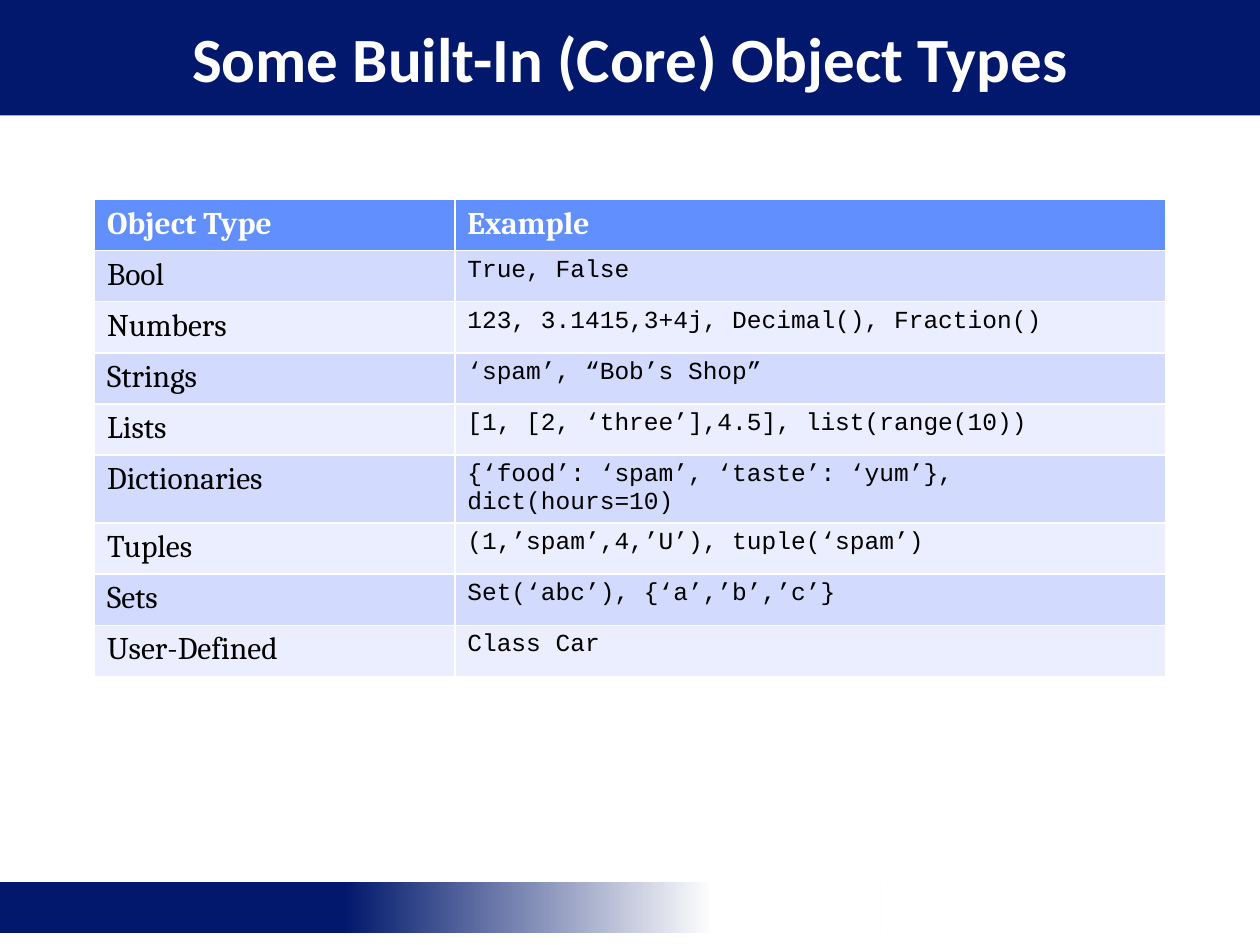
from pptx import Presentation
from pptx.dml.color import RGBColor
from pptx.enum.shapes import MSO_SHAPE
from pptx.enum.text import MSO_ANCHOR, MSO_AUTO_SIZE, PP_ALIGN
from pptx.util import Pt

NAVY = RGBColor(0x01, 0x18, 0x6C)
BLUE = RGBColor(0x61, 0x8F, 0xFD)
MID = RGBColor(0xD2, 0xDB, 0xFE)
PALE = RGBColor(0xEA, 0xEE, 0xFF)
WHITE = RGBColor(0xFF, 0xFF, 0xFF)
BLACK = RGBColor(0x00, 0x00, 0x00)

ROWS = [
    ("Object Type", "Example"),
    ("Bool", "True, False"),
    ("Numbers", "123, 3.1415,3+4j, Decimal(), Fraction()"),
    ("Strings", "‘spam’, “Bob’s Shop”"),
    ("Lists", "[1, [2, ‘three’],4.5], list(range(10))"),
    ("Dictionaries", "{‘food’: ‘spam’, ‘taste’: ‘yum’}, dict(hours=10)"),
    ("Tuples", "(1,’spam’,4,’U’), tuple(‘spam’)"),
    ("Sets", "Set(‘abc’), {‘a’,’b’,’c’}"),
    ("User-Defined", "Class Car"),
]
WIDTHS = [Pt(205.9), Pt(406.1)]
HEIGHT = Pt(29.2)


def style(frame, font, size, color, bold):
    """Format every run of a text frame."""
    for para in frame.paragraphs:
        for run in para.runs:
            run.font.name = font
            run.font.size = Pt(size)
            run.font.color.rgb = color
            run.font.bold = bold


deck = Presentation()
deck.slide_width, deck.slide_height = Pt(720), Pt(540)
slide = deck.slides.add_slide(deck.slide_layouts[5])

# Footer band, fading to white
band = slide.shapes.add_shape(MSO_SHAPE.RECTANGLE, 0, Pt(504), Pt(503.3), Pt(29))
band.shadow.inherit = False
band.line.fill.background()
band.fill.gradient()
band.fill.gradient_angle = 0
for stop, color, place in zip(band.fill.gradient_stops, (NAVY, WHITE), (0.39, 0.81)):
    stop.color.rgb = color
    stop.position = place

# Title bar
title = slide.shapes.title
title.left, title.top, title.width, title.height = 0, 0, Pt(720), Pt(66)
title.fill.solid()
title.fill.fore_color.rgb = NAVY
frame = title.text_frame
frame.text = "Some Built-In (Core) Object Types"
frame.auto_size = MSO_AUTO_SIZE.NONE
frame.vertical_anchor = MSO_ANCHOR.MIDDLE
frame.paragraphs[0].alignment = PP_ALIGN.CENTER
style(frame, "Calibri", 36, WHITE, True)

# Table of types; the default style draws the white borders
table = slide.shapes.add_table(
    len(ROWS), 2, Pt(54), Pt(114), sum(WIDTHS), HEIGHT * len(ROWS)
).table
for col, width in zip(table.columns, WIDTHS):
    col.width = width
for r, texts in enumerate(ROWS):
    table.rows[r].height = HEIGHT
    head = r == 0
    for c, text in enumerate(texts):
        cell = table.cell(r, c)
        cell.fill.solid()
        cell.fill.fore_color.rgb = BLUE if head else (PALE, MID)[r % 2]
        cell.text_frame.text = text
        code = c == 1 and not head
        font, size = ("Courier New", 14) if code else ("Cambria", 18)
        style(cell.text_frame, font, size, WHITE if head else BLACK, head)

deck.save("out.pptx")
